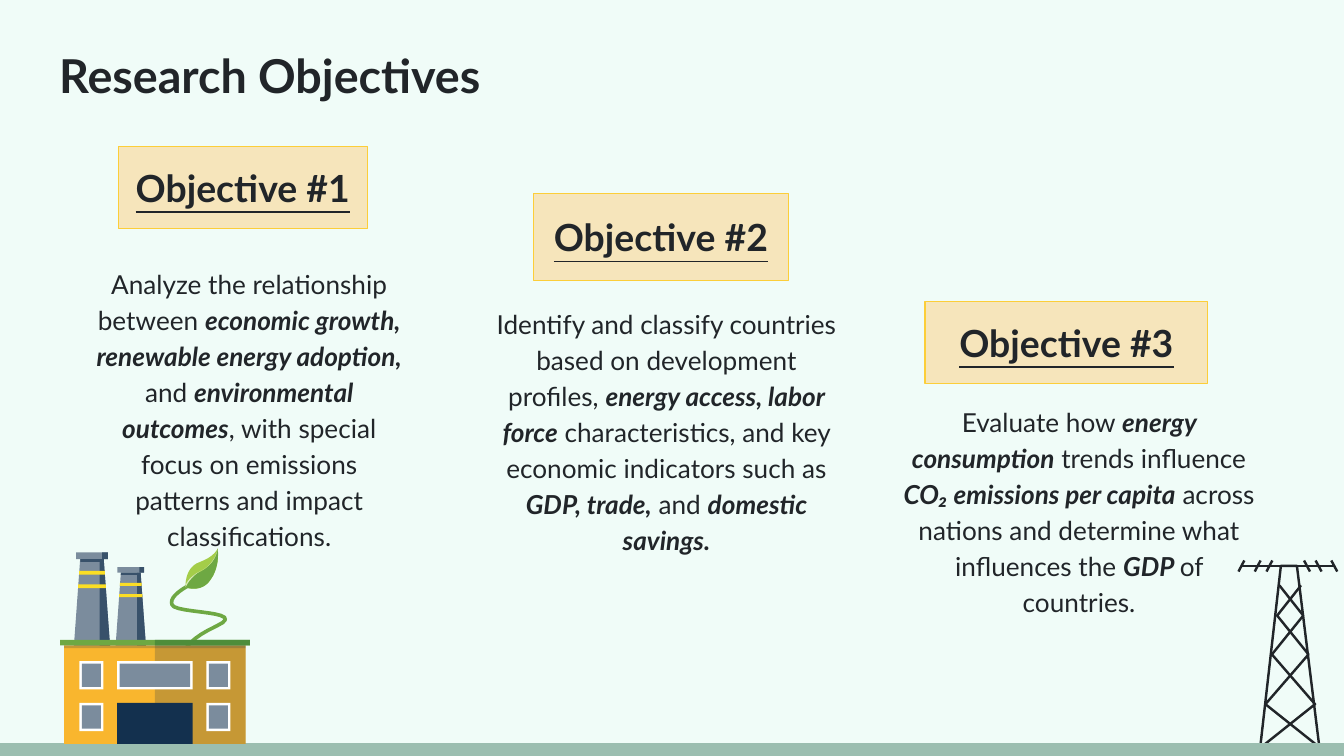
from lxml.etree import SubElement
from pptx import Presentation
from pptx.dml.color import RGBColor
from pptx.enum.shapes import MSO_CONNECTOR, MSO_SHAPE
from pptx.enum.text import MSO_ANCHOR, MSO_AUTO_SIZE, PP_ALIGN
from pptx.oxml.ns import qn
from pptx.util import Pt

COLORS = {
    "background": "F0FCF8", "ink": "212529", "ground": "9BBEB0",
    "label": "F6E5BB", "label_line": "FCCE39", "leaf": "6EA843",
    "leaf_light": "A4CD49", "vein": "DBEBB7", "roof_dark": "4E8D3A",
    "steel": "7B8C9D", "steel_dark": "38516A", "stripe": "FBDE25",
    "wall": "F9B62E", "navy": "13304E", "white": "FFFFFF",
}


class SlidePainter:
    """Draws styled elements on the current slide, with lengths in points."""

    def __init__(self, slide, font_name):
        self.slide = slide
        self.font_name = font_name

    def color(self, name):
        return RGBColor.from_string(COLORS[name])

    def background(self, color):
        fill = self.slide.background.fill
        fill.solid()
        fill.fore_color.rgb = self.color(color)

    def place(self, shape, left, top, width, height):
        shape.left, shape.top = Pt(left), Pt(top)
        shape.width, shape.height = Pt(width), Pt(height)

    def frame(self, shape, anchor):
        text_frame = shape.text_frame
        text_frame.word_wrap = True
        text_frame.auto_size = MSO_AUTO_SIZE.NONE
        text_frame.vertical_anchor = anchor
        text_frame.margin_left = text_frame.margin_right = Pt(7.2)
        text_frame.margin_top = text_frame.margin_bottom = Pt(7.2)
        return text_frame.paragraphs[0]

    def run(self, paragraph, text, size, bold=False, italic=False, underline=False):
        run = paragraph.add_run()
        run.text = text
        font = run.font
        font.name, font.size = self.font_name, Pt(size)
        font.bold, font.italic, font.underline = bold, italic, underline
        font.color.rgb = self.color("ink")

    def title(self, text, *bounds):
        shape = self.slide.shapes.title
        self.place(shape, *bounds)
        paragraph = self.frame(shape, MSO_ANCHOR.MIDDLE)
        paragraph.alignment = PP_ALIGN.LEFT
        self.run(paragraph, text, 25, bold=True)

    def body(self, index, texts, *bounds):
        shape = self.slide.placeholders[index]
        self.place(shape, *bounds)
        paragraph = self.frame(shape, MSO_ANCHOR.TOP)
        properties = paragraph._p.get_or_add_pPr()
        properties.set("marL", "0")
        properties.set("indent", "0")
        SubElement(properties, qn("a:buNone"))
        paragraph.alignment = PP_ALIGN.CENTER
        paragraph.line_spacing = 1.15
        paragraph.space_before = Pt(0)
        for position, text in enumerate(texts):
            emphasis = position % 2 == 1
            self.run(paragraph, text, 14, bold=emphasis, italic=emphasis)

    def label(self, text, *bounds):
        shape = self.rectangle("label", *bounds)
        shape.line.color.rgb = self.color("label_line")
        shape.line.width = Pt(0.75)
        paragraph = self.frame(shape, MSO_ANCHOR.MIDDLE)
        paragraph.alignment = PP_ALIGN.CENTER
        self.run(paragraph, text, 20, bold=True, underline=True)

    def paint(self, shape, color, alpha=None):
        shape.shadow.inherit = False
        shape.fill.solid()
        shape.fill.fore_color.rgb = self.color(color)
        shape.line.fill.background()
        if alpha:
            solid = shape._element.spPr.find(qn("a:solidFill"))
            SubElement(solid[0], qn("a:alpha")).set("val", str(alpha * 1000))

    def rectangle(self, color, left, top, width, height, alpha=None):
        shape = self.slide.shapes.add_shape(
            MSO_SHAPE.RECTANGLE, Pt(left), Pt(top), Pt(width), Pt(height))
        self.paint(shape, color, alpha)
        return shape

    def outline(self, points, close):
        start, *rest = [(Pt(x), Pt(y)) for x, y in points]
        builder = self.slide.shapes.build_freeform(*start)
        builder.add_line_segments(rest, close=close)
        return builder.convert_to_shape()

    def polygon(self, color, points):
        self.paint(self.outline(points, True), color)

    def stroke(self, color, points, width):
        shape = self.outline(points, False)
        shape.shadow.inherit = False
        shape.fill.background()
        shape.line.color.rgb = self.color(color)
        shape.line.width = Pt(width)

    def line(self, color, start, end, width):
        connector = self.slide.shapes.add_connector(
            MSO_CONNECTOR.STRAIGHT, *(Pt(value) for value in (*start, *end)))
        connector.line.color.rgb = self.color(color)
        connector.line.width = Pt(width)
        SubElement(connector._element.spPr, qn("a:effectLst"))


def curve(start, *segments, steps=12):
    """Return points along joined cubic curves."""
    points = [start]
    for first, second, end in segments:
        origin = points[-1]
        for step in range(1, steps + 1):
            t = step / steps
            u = 1 - t
            points.append(tuple(
                u**3 * a + 3 * u * u * t * b + 3 * u * t * t * c + t**3 * d
                for a, b, c, d in zip(origin, first, second, end)))
    return points


def draw_tower(painter):
    """Draw the power line tower."""
    center = 691.2
    painter.stroke("ink", [(674.6, 405), (686.2, 303.1), (694.8, 303.1), (707.4, 405)], 1.3)
    brace = [(-16.5, 401), (13.3, 377.3), (-9.8, 350.6), (7, 329.8), (-5.8, 313.6)]
    for side in (1, -1):
        painter.stroke("ink", [(center + side * x, y) for x, y in brace], 1.3)
    painter.line("ink", (665.3, 303.1), (715, 303.1), 1.3)
    for top, bottom in ((666.6, 663.5), (675.3, 672.2), (681.6, 678.5),
                        (698.6, 701.8), (704.8, 708), (713.2, 716.4)):
        painter.line("ink", (top, 300.3), (bottom, 306.2), 1.3)


def draw_chimney(painter, left, top, scale):
    """Draw one striped chimney."""
    def scaled(points):
        return [(left + x * scale, top + y * scale) for x, y in points]

    def bar(color, x, y, width, height):
        painter.rectangle(color, *scaled([(x, y)])[0], width * scale, height * scale)

    painter.polygon("steel", scaled([(3.4, 3.6), (0, 50.4), (19.4, 50.4), (16, 3.6)]))
    painter.polygon("steel_dark", scaled([(13.8, 3.6), (13.8, 50.4), (19.4, 50.4), (16, 3.6)]))
    bar("steel", 1.2, 0, 17, 3.6)
    bar("steel_dark", 3.4, 3.6, 12.6, 1.5)
    bar("stripe", 2.8, 10, 13.8, 2)
    bar("stripe", 2.2, 17.2, 15, 2)
    bar("steel_dark", 15.2, 0, 3, 3.6)


def draw_factory(painter):
    """Draw the factory with its chimneys, windows and leaf."""
    painter.stroke("leaf", curve(
        (102.2, 313.2),
        ((102.2, 313.2), (90, 319), (92.2, 324)),
        ((93.6, 329), (134.6, 326.9), (115.9, 335.5)),
        ((97.2, 344.2), (94.3, 352.8), (102.2, 361.4))), 1.97)
    draw_chimney(painter, 39.6, 295.9, 1)
    draw_chimney(painter, 61.9, 303.8, 0.84)
    painter.rectangle("wall", 34.4, 345.8, 97.2, 52.7)
    painter.rectangle("navy", 83, 345.8, 48.6, 52.7, alpha=22)
    painter.rectangle("leaf", 32.3, 342.8, 101.6, 3)
    painter.rectangle("roof_dark", 83, 342.8, 50.9, 3)
    painter.rectangle("navy", 34.4, 345.8, 97.2, 1.4, alpha=22)
    painter.rectangle("navy", 62.8, 376.6, 40.4, 22)
    tip, base = (116.6, 293.8), (99.4, 314.6)
    edge = [(base, (100.8, 315.4), (103.7, 315.4)),
            ((106.6, 315.4), (110.2, 314.6), (113, 310.3)),
            ((118.1, 303.1), tip, tip)]
    painter.polygon("leaf_light", curve(
        tip, (tip, (115.2, 298.1), (107.3, 301)), ((98.6, 303.8), base, base), *edge))
    painter.polygon("leaf", curve(
        tip, (tip, (115.9, 301.7), (108, 306)), ((99.4, 309.6), base, base), *edge))
    painter.polygon("vein", curve(
        tip, ((115.9, 298.8), (112.3, 303.1), (108.7, 305.3)),
        ((104, 307.4), (99.4, 311), base),
        ((102, 309.5), (105, 307.5), (107.3, 306)),
        ((113, 303.1), (115.9, 299), tip)))
    windows = [(x, y, 12.8) for x in (42.6, 110.6) for y in (354.2, 376.6)]
    for x, y, width in windows + [(62.8, 354.2, 40.4)]:
        painter.rectangle("white", x, y, width, 15.1)
        painter.rectangle("steel", x + 1.3, y + 1.3, width - 2.6, 12.5)


def main():
    """Build and save the research objectives slide."""
    presentation = Presentation()
    presentation.slide_width, presentation.slide_height = Pt(720), Pt(405)
    slide = presentation.slides.add_slide(presentation.slide_layouts[4])
    spare = slide.placeholders[4]._element
    spare.getparent().remove(spare)
    painter = SlidePainter(slide, "Lato")
    painter.background("background")
    draw_tower(painter)
    painter.rectangle("ground", 0, 398.2, 720, 6.8)
    painter.title("Research Objectives", 24.5, 18, 302.4, 44.6)
    objectives = [
        ((63.4, 78.5, 133.4, 44), (41.4, 133.9, 184.3, 170),
         ["Analyze the relationship between ", "economic growth, renewable energy adoption,",
          " and ", "environmental outcomes",
          ", with special focus on emissions patterns and impact classifications."]),
        ((285.7, 103.6, 136.8, 46.6), (256.3, 155.5, 201.6, 159),
         ["Identify and classify countries based on development profiles, ",
          "energy access, labor force", " characteristics, and key economic indicators such as ",
          "GDP, trade,", " and ", "domestic savings."]),
        ((495.6, 161.5, 151.4, 44), (474.1, 208, 208, 150.5),
         ["Evaluate how ", "energy consumption", " trends influence ",
          "CO₂ emissions per capita", " across nations and determine what influences the ",
          "GDP ", "of countries."]),
    ]
    for number, (label_bounds, body_bounds, texts) in enumerate(objectives, 1):
        painter.label(f"Objective #{number}", *label_bounds)
        painter.body(number, texts, *body_bounds)
    draw_factory(painter)
    presentation.save("out.pptx")


if __name__ == "__main__":
    main()
